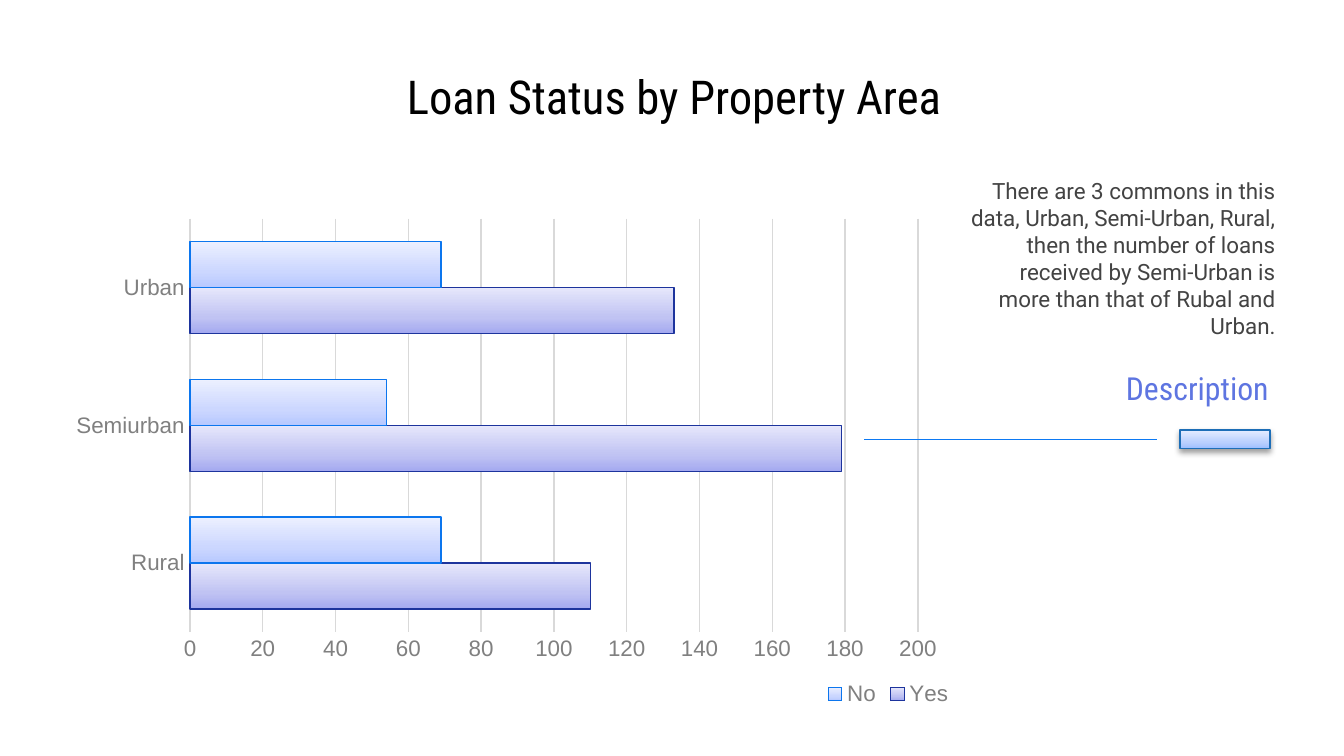
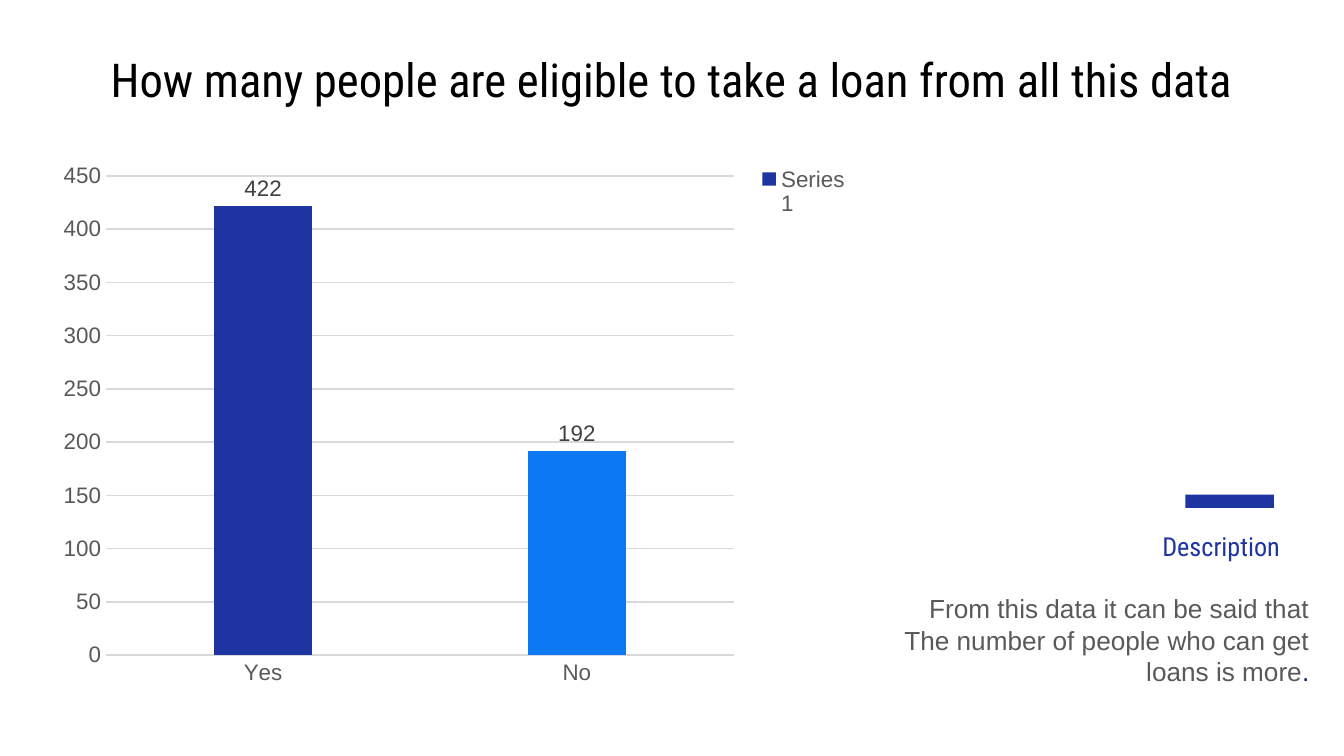
from dataclasses import dataclass

from lxml import etree
from pptx import Presentation
from pptx import util as u
from pptx.chart.data import CategoryChartData
from pptx.dml.color import RGBColor
from pptx.enum import chart as chart_enum, shapes, text
from pptx.oxml import parse_xml
from pptx.oxml.ns import nsdecls, qn

BLACK = RGBColor(0x00, 0x00, 0x00)
BODY_GRAY = RGBColor(0x43, 0x43, 0x43)
LABEL_GRAY = RGBColor(0x40, 0x40, 0x40)
DARK_GRAY = RGBColor(0x59, 0x59, 0x59)
MID_GRAY = RGBColor(0x80, 0x80, 0x80)
GRID_GRAY = RGBColor(0xD9, 0xD9, 0xD9)
NAVY = RGBColor(0x1E, 0x35, 0xA1)
DEEP_NAVY = RGBColor(0x0A, 0x1F, 0x7B)
BRIGHT_BLUE = RGBColor(0x0C, 0x79, 0xF3)
PERIWINKLE = RGBColor(0x5E, 0x75, 0xE1)
YES_LINE = RGBColor(0x1D, 0x34, 0x9D)
NO_LINE = RGBColor(0x0C, 0x76, 0xEE)
BAR_LINE = RGBColor(0x1D, 0x6E, 0xB7)

STOPS = (0, 35, 100)
YES_GRADIENT = (RGBColor(0xA4, 0xA9, 0xF0), RGBColor(0xC0, 0xC3, 0xF3), RGBColor(0xE6, 0xE7, 0xFB))
NO_GRADIENT = (RGBColor(0xB7, 0xC8, 0xFF), RGBColor(0xCC, 0xD7, 0xFF), RGBColor(0xEC, 0xF0, 0xFF))
BAR_GRADIENT = (RGBColor(0x9D, 0xBE, 0xFF), RGBColor(0xBA, 0xD0, 0xFE), RGBColor(0xE5, 0xED, 0xFF))

HEADING_FONT, BODY_FONT, CHART_FONT = "Roboto Condensed", "Roboto", "Arial"
THIN = u.Pt(0.75)
CENTER, RIGHT, LEFT = text.PP_ALIGN.CENTER, text.PP_ALIGN.RIGHT, text.PP_ALIGN.LEFT

SLIDE_WIDTH = u.Inches(10)
SLIDE_HEIGHT = SLIDE_WIDTH * 9 // 16
COLUMN = SLIDE_WIDTH / 100
ROW = SLIDE_HEIGHT / 56.25


@dataclass
class Box:
    """A rectangle measured in grid columns and rows."""
    left: float
    top: float
    width: float
    height: float

    def inside(self, left, top, width, height):
        return Box(self.left + left, self.top + top, width, height)

    def lengths(self):
        return (int(self.left * COLUMN), int(self.top * ROW),
                int(self.width * COLUMN), int(self.height * ROW))


def style_font(font, size, color, name):
    font.size, font.name, font.bold = u.Pt(size), name, False
    font.color.rgb = color


def add_run(paragraph, words, **style):
    run = paragraph.add_run()
    run.text = words
    style_font(run.font, **style)


def write(frame, *lines, align=LEFT, anchor=text.MSO_ANCHOR.TOP, inset=0.05, grow=False, **style):
    frame.word_wrap = True
    frame.auto_size = text.MSO_AUTO_SIZE.SHAPE_TO_FIT_TEXT if grow else text.MSO_AUTO_SIZE.NONE
    frame.vertical_anchor = anchor
    frame.margin_left = frame.margin_right = u.Inches(0.1)
    frame.margin_top = frame.margin_bottom = u.Inches(inset)
    for index, line in enumerate(lines):
        paragraph = frame.add_paragraph() if index else frame.paragraphs[0]
        paragraph.alignment = align
        add_run(paragraph, line, **style)


def add_text(parent, box, *lines, **style):
    frame = parent.add_textbox(*box.lengths()).text_frame
    write(frame, *lines, **style)
    return frame


def add_titled_slide(presentation, title, box):
    slide = presentation.slides.add_slide(presentation.slide_layouts[5])
    shape = slide.shapes.title
    shape.left, shape.top, shape.width, shape.height = box.lengths()
    write(shape.text_frame, title, align=CENTER, anchor=text.MSO_ANCHOR.MIDDLE,
          inset=0.1, size=25, color=BLACK, name=HEADING_FONT)
    return slide


def fill_gradient(fill, element, colors):
    """Fill with three stops that run from the bottom edge upwards."""
    fill.gradient()
    fill.gradient_angle = 90
    stop_list = element.find(".//" + qn("a:gsLst"))
    for stop in list(stop_list):
        stop_list.remove(stop)
    for position, color in zip(STOPS, colors):
        stop_list.append(parse_xml(
            f'<a:gs {nsdecls("a")} pos="{position * 1000}"><a:srgbClr val="{color}"/></a:gs>'))


def add_bar(parent, box):
    bar = parent.add_shape(shapes.MSO_SHAPE.RECTANGLE, *box.lengths())
    bar.shadow.inherit = False
    return bar


def add_soft_shadow(shape):
    shape._element.spPr.find(qn("a:effectLst")).append(parse_xml(
        f'<a:outerShdw {nsdecls("a")} blurRad="40000" dist="20000" dir="5400000" rotWithShape="0">'
        '<a:srgbClr val="000000"><a:alpha val="38000"/></a:srgbClr></a:outerShdw>'))


def set_layout(element, before, inner, percents):
    """Place a plot area or legend by percents of the chart's size."""
    for old in element.findall(qn("c:layout")):
        element.remove(old)
    layout = etree.Element(qn("c:layout"))
    manual = etree.SubElement(layout, qn("c:manualLayout"))
    settings = [("layoutTarget", "inner")] if inner else []
    settings += [("xMode", "edge"), ("yMode", "edge")]
    settings += [(name, percent / 100) for name, percent in zip("xywh", percents)]
    for name, value in settings:
        etree.SubElement(manual, qn("c:" + name)).set("val", str(value))
    if before is None:
        element.insert(0, layout)
    else:
        element.find(qn(before)).addprevious(layout)


def add_bar_chart(slide, box, kind, categories, series, color, maximum, step,
                  legend_side, plot_percents, legend_percents):
    data = CategoryChartData()
    data.categories = categories
    for name, values in series.items():
        data.add_series(name, values)
    chart = slide.shapes.add_chart(kind, *box.lengths(), data).chart
    chart.has_title = False
    style_font(chart.font, size=10, color=BLACK, name=CHART_FONT)

    category_axis, value_axis = chart.category_axis, chart.value_axis
    for axis in (category_axis, value_axis):
        axis.major_tick_mark = axis.minor_tick_mark = chart_enum.XL_TICK_MARK.NONE
        style_font(axis.tick_labels.font, size=12, color=color, name=CHART_FONT)
    category_axis.has_major_gridlines = False
    value_axis.has_major_gridlines = True
    for line in (category_axis.format.line, value_axis.major_gridlines.format.line):
        line.color.rgb, line.width = GRID_GRAY, THIN
    value_axis.format.line.fill.background()
    value_axis.minimum_scale, value_axis.maximum_scale = 0, maximum
    value_axis.major_unit = step

    chart.has_legend = True
    legend = chart.legend
    legend.position, legend.include_in_layout = legend_side, False
    style_font(legend.font, size=12, color=color, name=CHART_FONT)
    plot_area = chart._chartSpace.find(".//" + qn("c:plotArea"))
    set_layout(plot_area, None, True, plot_percents)
    set_layout(legend._element, "c:overlay", False, legend_percents)
    chart.plots[0].vary_by_categories = False
    return chart


def add_area_chart(slide, box):
    chart = add_bar_chart(
        slide, box, chart_enum.XL_CHART_TYPE.BAR_CLUSTERED, ("Rural", "Semiurban", "Urban"),
        {"Yes": (110, 179, 133), "No": (69, 54, 69)}, MID_GRAY, 200, 20,
        chart_enum.XL_LEGEND_POSITION.BOTTOM, (14.6, 1.8, 81.2, 81.6), (85, 91.6, 15, 8))
    plot = chart.plots[0]
    plot.gap_width = 100
    looks = ((YES_GRADIENT, YES_LINE), (NO_GRADIENT, NO_LINE))
    for series, (gradient, outline) in zip(plot.series, looks):
        series.invert_if_negative = False
        fill_gradient(series.format.fill, series._element, gradient)
        series.format.line.color.rgb, series.format.line.width = outline, THIN


def add_eligibility_chart(slide, box):
    chart = add_bar_chart(
        slide, box, chart_enum.XL_CHART_TYPE.COLUMN_CLUSTERED, ("Yes", "No"),
        {"Series 1": (422, 192)}, DARK_GRAY, 450, 50,
        chart_enum.XL_LEGEND_POSITION.RIGHT, (7.3, 4.2, 77.3, 88.5), (87.2, 1.1, 12, 12))
    plot = chart.plots[0]
    plot.gap_width, plot.overlap = 219, -27
    series = plot.series[0]
    series.invert_if_negative = False
    for fill, color in ((series.format.fill, NAVY), (series.points[1].format.fill, BRIGHT_BLUE)):
        fill.solid()
        fill.fore_color.rgb = color
    labels = series.data_labels
    labels.show_value = True
    labels.position = chart_enum.XL_LABEL_POSITION.OUTSIDE_END
    style_font(labels.font, size=12, color=LABEL_GRAY, name=CHART_FONT)


def add_area_description(slide, box):
    group = slide.shapes.add_group_shape().shapes
    middle = {"align": RIGHT, "anchor": text.MSO_ANCHOR.MIDDLE, "inset": 0.1}
    add_text(group, box.inside(6.8, 1, 24.8, 13.6),
             "There are 3 commons in this data, Urban, Semi-Urban, Rural, then the number of loans "
             "received by Semi-Urban is more than that of Rubal and Urban.",
             size=12, color=BODY_GRAY, name=BODY_FONT, **middle)
    bar = add_bar(group, box.inside(23.5, 20.6, 6.7, 1.4))
    fill_gradient(bar.fill, bar._element, BAR_GRADIENT)
    bar.line.color.rgb, bar.line.width = BAR_LINE, THIN
    add_soft_shadow(bar)

    left, top, width, _ = box.inside(0, 21.3, 21.8, 0).lengths()
    pointer = group.add_connector(shapes.MSO_CONNECTOR.STRAIGHT, left, top, left + width, top)
    pointer.line.color.rgb, pointer.line.width = BRIGHT_BLUE, THIN
    etree.SubElement(pointer._element.spPr, qn("a:effectLst"))

    add_text(slide.shapes, box.inside(10.5, 16, 20.6, 2.9), "Description",
             size=17, color=PERIWINKLE, name=HEADING_FONT, **middle)


def add_eligibility_description(slide, box):
    frame = add_text(slide.shapes, box.inside(0, 6.8, box.width, 8.1),
                     "From this data it can be said that",
                     "The number of people who can get loans is more",
                     align=RIGHT, grow=True, size=14, color=DARK_GRAY, name=CHART_FONT)
    add_run(frame.paragraphs[-1], ".", size=14, color=DEEP_NAVY, name=CHART_FONT)
    bar = add_bar(slide.shapes, box.inside(24.3, 0, 6.6, 1))
    bar.fill.solid()
    bar.fill.fore_color.rgb = NAVY
    bar.line.fill.background()
    add_text(slide.shapes, box.inside(21.6, 2.2, 11, 3.3), "Description",
             grow=True, size=14, color=NAVY, name=HEADING_FONT)


def main():
    presentation = Presentation()
    presentation.slide_width, presentation.slide_height = SLIDE_WIDTH, SLIDE_HEIGHT

    slide = add_titled_slide(presentation, "Loan Status by Property Area", Box(5.3, 4.5, 89.7, 5.3))
    add_area_chart(slide, Box(4.4, 15.6, 66.7, 37.7))
    add_area_description(slide, Box(64.3, 11.4, 31.6, 22))

    slide = add_titled_slide(
        presentation, "How many people are eligible to take a loan from all this data",
        Box(5.1, 3.2, 89.7, 5.3))
    add_eligibility_chart(slide, Box(3.5, 11.4, 60.4, 40.3))
    add_eligibility_description(slide, Box(63.9, 36.8, 34.5, 14.9))

    presentation.save("out.pptx")


if __name__ == "__main__":
    main()
